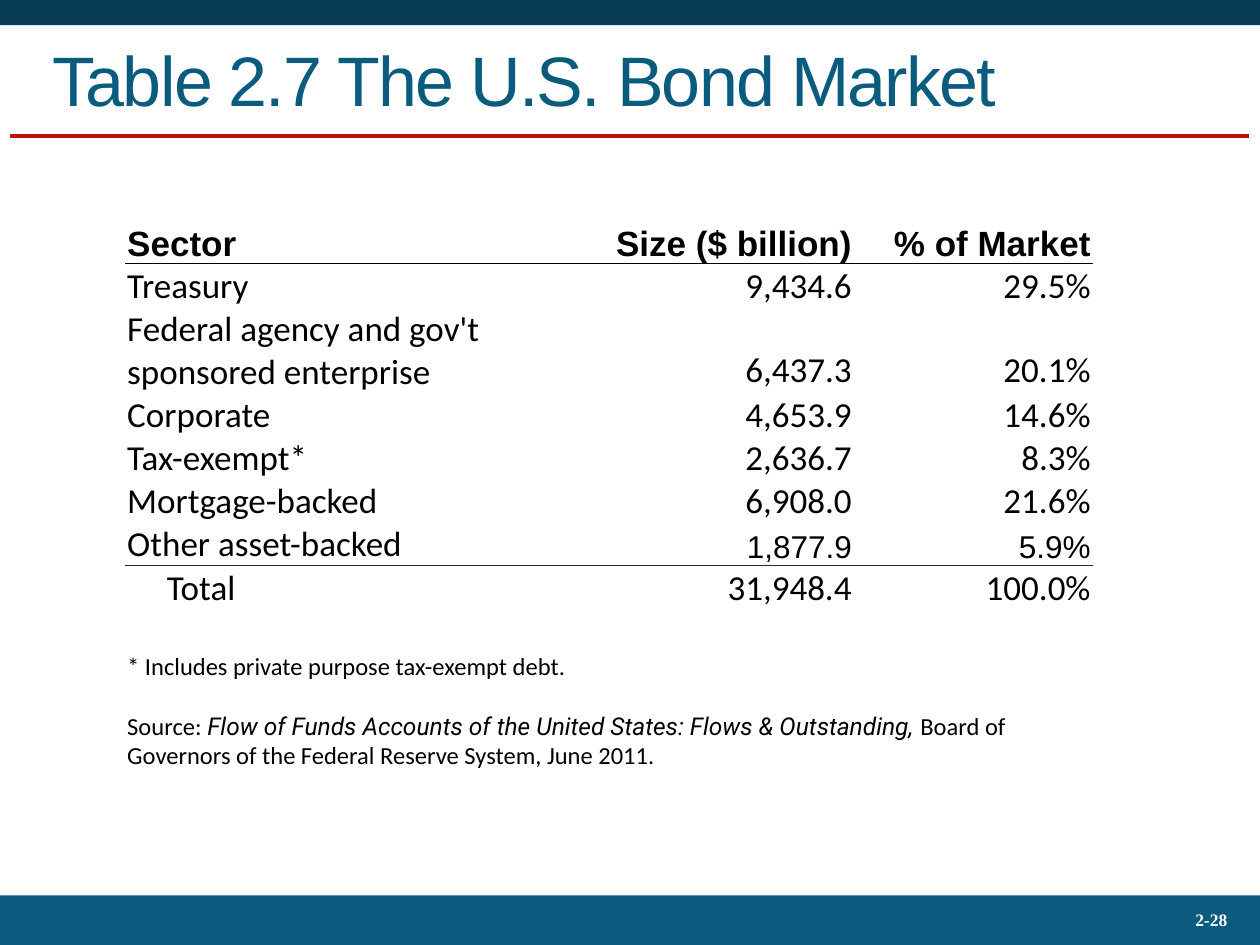
from lxml.etree import SubElement
from pptx import Presentation
from pptx.dml.color import RGBColor
from pptx.enum.shapes import MSO_CONNECTOR, MSO_SHAPE
from pptx.enum.text import MSO_ANCHOR, PP_ALIGN
from pptx.oxml import parse_xml
from pptx.oxml.ns import nsdecls, qn
from pptx.util import Pt

COLORS = {
    "navy": "073D55",
    "teal": "0B5B7F",
    "red": "BD130F",
    "white": "FFFFFF",
    "black": "000000",
    "ink": "292934",
}
BODY = {"name": "Calibri", "size": Pt(20), "bold": False}
HEAD = {"name": "Arial", "size": Pt(20), "bold": True}
ODD = {"name": "Arial", "size": Pt(18), "bold": False}
NOTE = {"name": "Calibri", "size": Pt(14)}
CITE = {"name": "Roboto", "size": Pt(14), "italic": True}
NUMBER = {"name": "Times New Roman", "size": Pt(10), "bold": True}
TITLE = {"name": "Arial", "size": Pt(40)}

ROWS = [
    ("Sector", "Size ($ billion)", "% of Market"),
    ("Treasury", "9,434.6", "29.5%"),
    ("Federal agency and gov't sponsored enterprise", "6,437.3", "20.1%"),
    ("Corporate", "4,653.9", "14.6%"),
    ("Tax-exempt*", "2,636.7", "8.3%"),
    ("Mortgage-backed", "6,908.0", "21.6%"),
    ("Other asset-backed", "1,877.9", "5.9%"),
    ("Total", "31,948.4", "100.0%"),
]
OTHER, TOTAL, BLANK, NOTES = 6, 7, 8, 9
RULES = {0: ("black", 0.5), OTHER: ("ink", 1)}
COL_WIDTHS = [250, 165.5, 136.5]
ROW_HEIGHTS = [24, 24, 48, 24, 24, 24, 24, 24, 24, 48]


def rgb(key):
    return RGBColor.from_string(COLORS[key])


def add_run(p, text, fmt, color="black"):
    r = p.add_run()
    r.text = text
    for name, value in fmt.items():
        setattr(r.font, name, value)
    r.font.color.rgb = rgb(color)
    return r


def add_bar(s, box, color):
    sp = s.shapes.add_shape(MSO_SHAPE.RECTANGLE, *map(Pt, box))
    sp.shadow.inherit = False
    sp.fill.solid()
    sp.fill.fore_color.rgb = rgb(color)
    sp.line.fill.background()


def add_text(s, box, text, fmt, color, align):
    tf = s.shapes.add_textbox(*map(Pt, box)).text_frame
    tf.word_wrap = True
    tf.vertical_anchor = MSO_ANCHOR.MIDDLE
    p = tf.paragraphs[0]
    p.alignment = align
    return p, add_run(p, text, fmt, color)


def add_header(s, box):
    x, y, w, h = box
    add_bar(s, (x, y, w, 14.4), "navy")
    _, r = add_text(s, (x + 23, y + 12.2, w - 45, 65.5),
                    "Table 2.7 The U.S. Bond Market", TITLE, "teal", PP_ALIGN.LEFT)
    r.font._element.set("spc", "-100")
    line = s.shapes.add_connector(MSO_CONNECTOR.STRAIGHT, Pt(x + 5.8), Pt(y + h),
                                  Pt(x + w - 6.2), Pt(y + h))
    line.line.color.rgb = rgb("red")
    line.line.width = Pt(2.25)
    SubElement(line._element.spPr, qn("a:effectLst"))


def add_footer(s, box):
    x, y, w, h = box
    add_bar(s, box, "teal")
    p, _ = add_text(s, (x + w - 95.8, y + 1.4, 84.2, 26), "2-28", NUMBER,
                    "white", PP_ALIGN.RIGHT)
    p.line_spacing = 0.93


def add_rule(cell, edge, color, width):
    cell._tc.get_or_add_tcPr().insert(0, parse_xml(
        f'<a:{edge} {nsdecls("a")} w="{Pt(width)}"><a:solidFill>'
        f'<a:srgbClr val="{COLORS[color]}"/></a:solidFill></a:{edge}>'))


def format_cell(cell):
    cell.fill.background()
    cell.vertical_anchor = MSO_ANCHOR.BOTTOM
    for side in ("left", "right", "top"):
        setattr(cell, f"margin_{side}", Pt(0.72))
    cell.margin_bottom = 0


def cell_format(row, col):
    if row == 0:
        return HEAD
    return ODD if row == OTHER and col else BODY


def add_notes(tf):
    p = tf.paragraphs[0]
    p.space_after = Pt(17)
    add_run(p, "* Includes private purpose tax-exempt debt.", NOTE)
    p = tf.add_paragraph()
    for text, fmt in (
        ("Source: ", NOTE),
        ("Flow of Funds Accounts of the United States: Flows & Outstanding, ", CITE),
        ("Board of Governors of the Federal Reserve System, June 2011.", NOTE),
    ):
        add_run(p, text, fmt)


def add_bond_table(s, box):
    frame = s.shapes.add_table(len(ROW_HEIGHTS), len(COL_WIDTHS), *map(Pt, box))
    table = frame.table
    table.first_row = table.horz_banding = False
    for col, width in zip(table.columns, COL_WIDTHS):
        col.width = Pt(width)
    for row, height in zip(table.rows, ROW_HEIGHTS):
        row.height = Pt(height)
    for cell in table.iter_cells():
        format_cell(cell)
    for i, row in enumerate(ROWS):
        for j, text in enumerate(row):
            p = table.cell(i, j).text_frame.paragraphs[0]
            p.alignment = PP_ALIGN.RIGHT if j else PP_ALIGN.LEFT
            add_run(p, text, cell_format(i, j))
    for i, rule in RULES.items():
        for j in range(len(COL_WIDTHS)):
            add_rule(table.cell(i, j), "lnB", *rule)
            add_rule(table.cell(i + 1, j), "lnT", *rule)
    total = table.cell(TOTAL, 0).text_frame.paragraphs[0]
    total._p.get_or_add_pPr().set("marL", str(Pt(22.6)))
    notes = table.cell(NOTES, 0)
    notes.merge(table.cell(NOTES, len(COL_WIDTHS) - 1))
    add_notes(notes.text_frame)


def main():
    prs = Presentation()
    prs.slide_width, prs.slide_height = Pt(720), Pt(540)
    s = prs.slides.add_slide(prs.slide_layouts[6])
    add_header(s, (0, 0, 720, 77.8))
    add_footer(s, (0, 511.7, 720, 28.8))
    add_bond_table(s, (72, 126, sum(COL_WIDTHS), sum(ROW_HEIGHTS)))
    prs.save("out.pptx")


if __name__ == "__main__":
    main()
